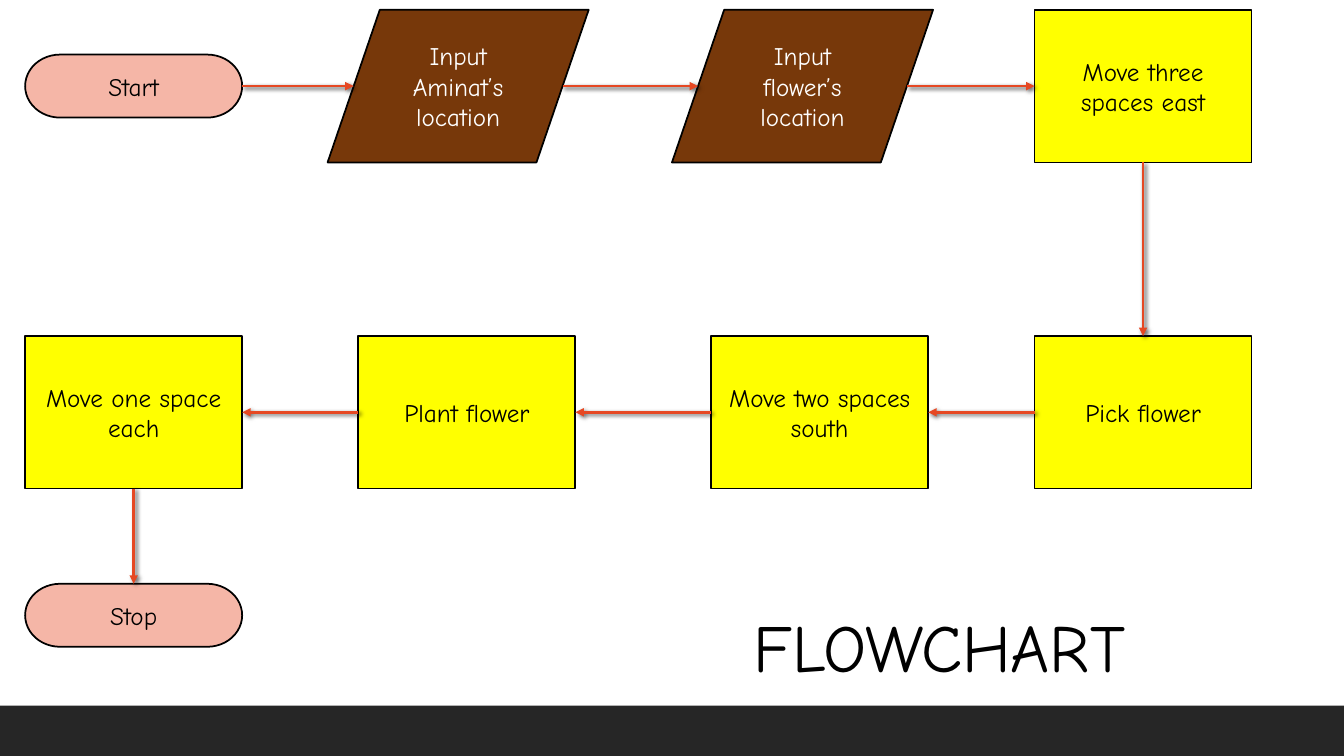
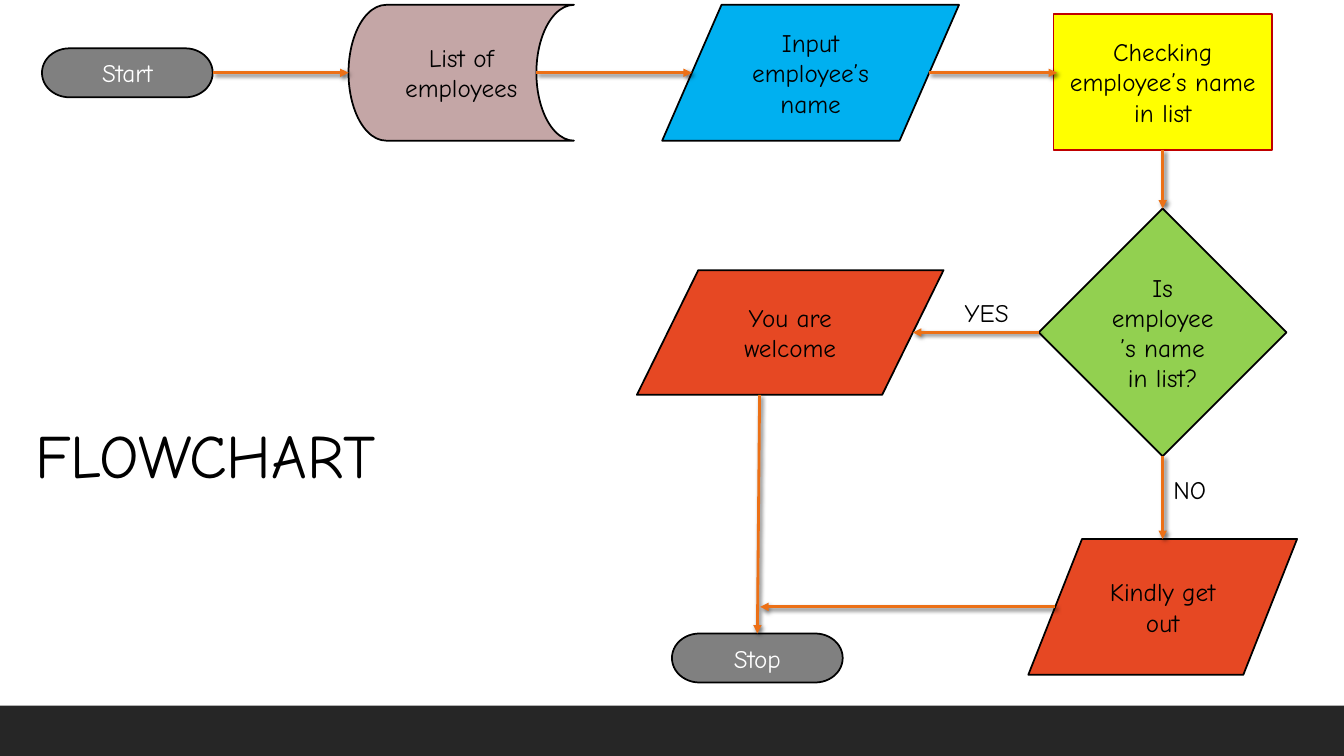
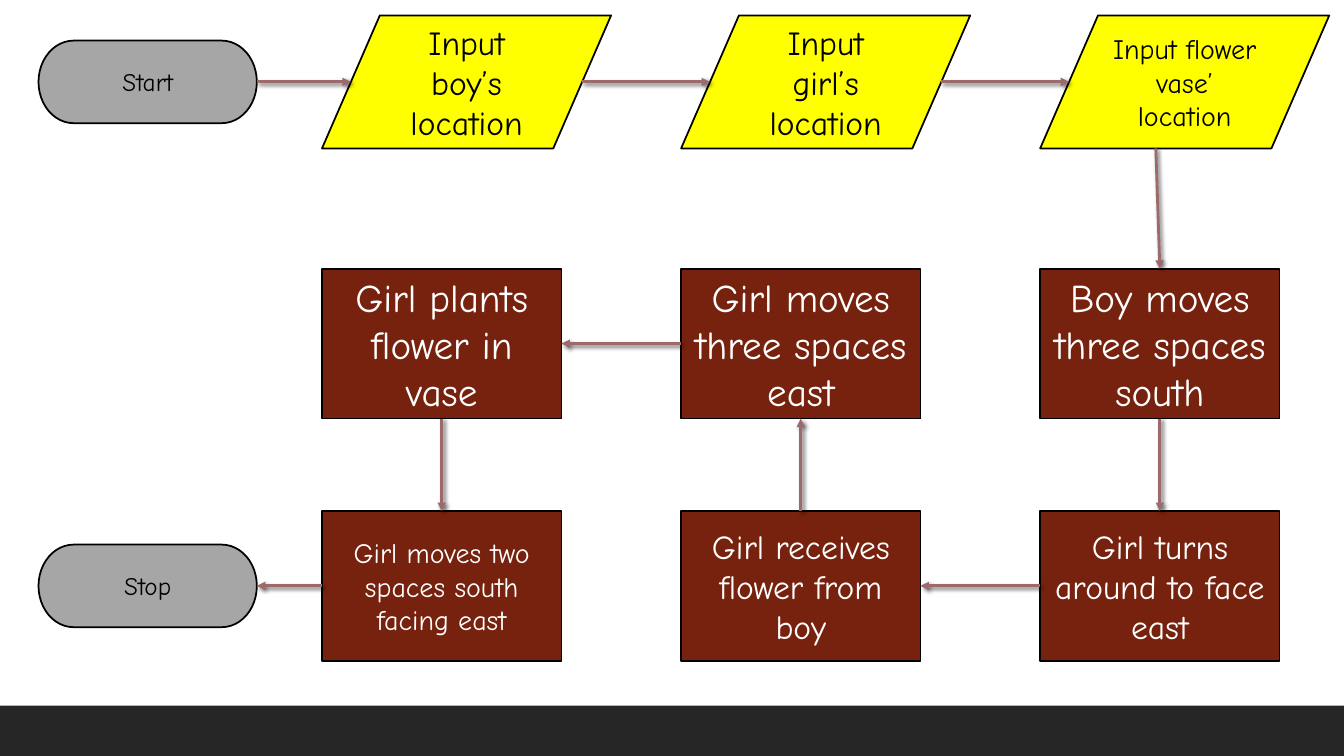
from lxml import etree
from pptx import Presentation
from pptx.dml.color import RGBColor
from pptx.enum import shapes as es, text as et
from pptx.oxml import parse_xml
from pptx.oxml.ns import nsdecls
from pptx.util import Pt

COLORS = {
    "black": "000000", "white": "FFFFFF", "band": "262626",
    "yellow": "FFFF00", "salmon": "F5B6A7", "brown": "77380A",
    "red": "E64823", "orange": "EC7016", "crimson": "C00000",
    "gray": "808080", "silver": "A6A6A6", "green": "92D050",
    "blue": "00B0F0", "mauve": "C4A6A6", "plum": "9C6A6A",
    "maroon": "77220E",
}
FONT = "Comic Neue"
TITLE_ONLY, BLANK = 5, 6

KIND = es.MSO_SHAPE
TERMINAL = KIND.FLOWCHART_TERMINATOR
DATA = KIND.FLOWCHART_DATA
PROCESS = KIND.FLOWCHART_PROCESS
DECISION = KIND.FLOWCHART_DECISION
STORE = KIND.FLOWCHART_STORED_DATA

# Where arrows meet each side, as fractions of width and height
PORTS = {"left": (0, 0.5), "right": (1, 0.5), "top": (0.5, 0), "bottom": (0.5, 1)}
SLANTED_PORTS = {
    DATA: {"left": (0.1, 0.5), "right": (0.9, 0.5), "bottom": (0.4, 1)},
    STORE: {"right": (5 / 6, 0.5)},
}

SHADOW = (
    f'<a:effectLst {nsdecls("a")}>'
    '<a:outerShdw blurRad="38100" dist="25400" dir="2700000" rotWithShape="0">'
    '<a:srgbClr val="000000"><a:alpha val="60000"/></a:srgbClr>'
    '</a:outerShdw></a:effectLst>'
)


def rgb(name):
    return RGBColor.from_string(COLORS[name])


def port(sp, side):
    """Point on one side of a shape, in points."""
    fx, fy = SLANTED_PORTS.get(sp.auto_shape_type, {}).get(side, PORTS[side])
    return (sp.left + sp.width * fx) / Pt(1), (sp.top + sp.height * fy) / Pt(1)


class Deck:
    def __init__(self):
        self.prs = Presentation()
        self.prs.slide_width, self.prs.slide_height = Pt(960), Pt(540)
        self.slide = None
        self.arrow_color = None

    def new_slide(self, layout, arrow_color):
        first = self.slide is None
        self.slide = self.prs.slides.add_slide(self.prs.slide_layouts[layout])
        self.arrow_color = arrow_color
        if first:
            self.master_band()

    def master_band(self):
        """Bottom band, moved to the master so that all slides share it."""
        band = self.shape(KIND.RECTANGLE, 0, 504, 960, 36, "band")
        band.line.fill.background()
        self.prs.slide_master.shapes.element.append(band.element)

    def set_text(self, sp, text, size, color="black", align=et.PP_ALIGN.LEFT,
                 anchor=et.MSO_ANCHOR.TOP):
        tf = sp.text_frame
        tf.word_wrap = True
        tf.auto_size = et.MSO_AUTO_SIZE.NONE
        tf.vertical_anchor = anchor
        p = tf.paragraphs[0]
        p.text = text
        p.alignment = align
        p.font.name, p.font.size = FONT, Pt(size)
        p.font.color.rgb = rgb(color)

    def title(self, text, x, y, w, h, size):
        sp = self.slide.shapes.title
        sp.left, sp.top, sp.width, sp.height = Pt(x), Pt(y), Pt(w), Pt(h)
        self.set_text(sp, text, size)

    def label(self, text, x, y, w):
        sp = self.slide.shapes.add_textbox(Pt(x), Pt(y), Pt(w), Pt(29))
        self.set_text(sp, text, 18)
        sp.text_frame.margin_right = 0

    def shape(self, kind, x, y, w, h, fill):
        sp = self.slide.shapes.add_shape(kind, Pt(x), Pt(y), Pt(w), Pt(h))
        sp.shadow.inherit = False
        sp.fill.solid()
        sp.fill.fore_color.rgb = rgb(fill)
        return sp

    def step(self, kind, text, x, y, w, h, fill, color="black", size=18, line="black"):
        sp = self.shape(kind, x, y, w, h, fill)
        sp.line.color.rgb = rgb(line)
        sp.line.width = Pt(1.25)
        self.set_text(sp, text, size, color, et.PP_ALIGN.CENTER, et.MSO_ANCHOR.MIDDLE)
        return sp

    def arrow(self, start, end):
        """Arrow between two points."""
        cx = self.slide.shapes.add_connector(
            es.MSO_CONNECTOR.STRAIGHT, *(Pt(v) for v in (*start, *end)))
        cx.line.color.rgb = rgb(self.arrow_color)
        cx.line.width = Pt(2)
        ln = cx.line._get_or_add_ln()
        etree.SubElement(ln, ln.tag.replace("}ln", "}tailEnd"), type="triangle")
        cx.element.spPr.append(parse_xml(SHADOW))

    def link(self, a, direction, *others):
        """Arrows through a chain of steps, all in one direction."""
        out, into = {"east": ("right", "left"), "west": ("left", "right"),
                     "south": ("bottom", "top"), "north": ("top", "bottom")}[direction]
        for b in others:
            self.arrow(port(a, out), port(b, into))
            a = b


def planting_slide(d):
    d.new_slide(TITLE_ONLY, "red")
    d.title("FLOWCHART", 531, 429, 363, 65.5, 48)
    cols, top, mid, w, h = (18, 256, 508, 739), 7, 240, 155, 109

    # Steps
    start, stop = (d.step(TERMINAL, t, cols[0], y, w, 45, "salmon")
                   for t, y in (("Start", 39), ("Stop", 417)))
    inputs = [d.step(DATA, t, x, top, 186.5, h, "brown", "white")
              for t, x in (("Input Aminat’s location", 234),
                           ("Input flower’s location", 480))]
    east = d.step(PROCESS, "Move three spaces east", cols[3], top, w, h, "yellow")
    row = [d.step(PROCESS, t, x, mid, w, h, "yellow")
           for t, x in zip(("Move one space each", "Plant flower",
                            "Move two spaces south", "Pick flower"), cols)]

    # Flow
    d.link(start, "east", *inputs, east)
    d.link(east, "south", row[3])
    d.link(row[3], "west", *row[2::-1])
    d.link(row[0], "south", stop)


def employee_slide(d):
    d.new_slide(TITLE_ONLY, "orange")
    d.title("FLOWCHART", 18, 294.5, 456, 60.5, 44)

    # Steps
    start, stop = (d.step(TERMINAL, t, x, y, 122, 35, "gray", "white")
                   for t, x, y in (("Start", 30, 34.5), ("Stop", 480, 452.5)))
    store = d.step(STORE, "List of employees", 249, 3.5, 161, 97, "mauve")
    name = d.step(DATA, "Input employee’s name", 473, 3.5, 212, 97, "blue")
    check = d.step(PROCESS, "Checking employee’s name in list",
                   752.5, 10, 156, 97, "yellow", line="crimson")
    listed = d.step(DECISION, "Is employee’s name in list?",
                    742, 149, 177, 177, "green")
    welcome = d.step(DATA, "You are welcome", 455, 193, 219, 89, "red")
    leave = d.step(DATA, "Kindly get out", 734.5, 385, 192, 97, "red")

    # Flow
    d.link(start, "east", store, name)
    d.arrow(port(name, "right"), (755, 52))
    d.link(check, "south", listed, leave)
    d.link(listed, "west", welcome)
    d.link(welcome, "south", stop)
    d.arrow(port(leave, "left"), (543, 433.5))
    d.label("YES", 682, 209, 52)
    d.label("NO", 831, 335.5, 38)


def vase_slide(d):
    d.new_slide(BLANK, "plum")
    cols = [230 + 256.5 * i for i in range(3)]

    # Steps
    start, stop = (d.step(TERMINAL, t, 27.5, y, 156, 59, "silver")
                   for t, y in (("Start", 29), ("Stop", 389)))
    inputs = [d.step(DATA, t, x, 11, 206.5, 95, "yellow", size=size)
              for x, (t, size) in zip(cols, (("Input boy’s location", 24),
                                             ("Input girl’s location", 24),
                                             ("Input flower vase’ location", 20)))]
    rows = (
        (192, (("Girl plants flower in vase", 28),
               ("Girl moves three spaces east", 28),
               ("Boy moves three spaces south", 28))),
        (365, (("Girl moves two spaces south facing east", 20),
               ("Girl receives flower from boy", 24),
               ("Girl turns around to face east", 24))),
    )
    upper, lower = ([d.step(PROCESS, t, x, y, 171, 107, "maroon", "white", size)
                     for x, (t, size) in zip(cols, steps)] for y, steps in rows)

    # Flow
    d.link(start, "east", *inputs)
    d.link(inputs[2], "south", upper[2], lower[2])
    d.link(lower[2], "west", lower[1])
    d.link(lower[1], "north", upper[1])
    d.link(upper[1], "west", upper[0])
    d.link(upper[0], "south", lower[0])
    d.link(lower[0], "west", stop)


def main():
    d = Deck()
    planting_slide(d)
    employee_slide(d)
    vase_slide(d)
    d.prs.save("out.pptx")


if __name__ == "__main__":
    main()
